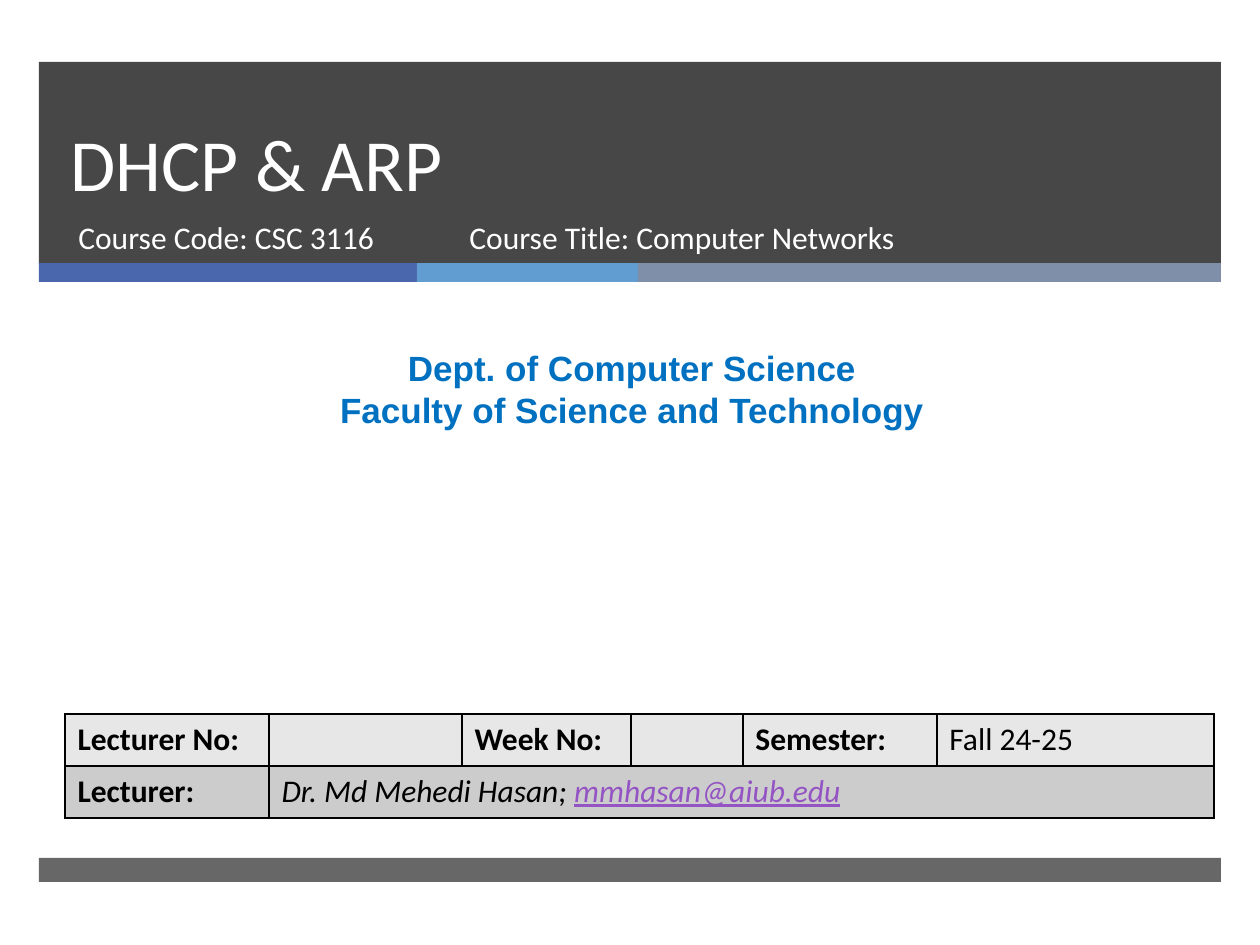
import pptx
import pptx.util
import pptx.dml.color
import pptx.enum.shapes
import pptx.enum.text
from lxml import etree
from pptx.oxml.ns import qn

RGB = pptx.dml.color.RGBColor
WHITE = RGB(0xFF, 0xFF, 0xFF)
BLACK = RGB(0x00, 0x00, 0x00)
BANNER = RGB(0x47, 0x47, 0x47)
FOOTER = RGB(0x67, 0x67, 0x67)
INDIGO = RGB(0x4A, 0x66, 0xAC)
SKY = RGB(0x62, 0x9D, 0xD1)
SLATE = RGB(0x7F, 0x8F, 0xA9)
BLUE = RGB(0x00, 0x70, 0xC0)
PURPLE = RGB(0x94, 0x54, 0xC3)
LIGHT = RGB(0xE7, 0xE7, 0xE7)
GREY = RGB(0xCC, 0xCC, 0xCC)

PX = 914400 / 126  # EMU per pixel


def px(*values):
    return [round(v * PX) for v in values]


def add_run(p, text, size, color, **fmt):
    r = p.add_run()
    r.text = text
    r.font.size = pptx.util.Pt(size)
    r.font.color.rgb = color
    for name, value in {"name": "Calibri", **fmt}.items():
        setattr(r.font, name, value)


prs = pptx.Presentation()
prs.slide_width, prs.slide_height = px(1260, 945)
s = prs.slides.add_slide(prs.slide_layouts[6])

# Banner, three-colour stripe and footer bar
bars = [
    (39, 62, 1182, 202, BANNER),
    (39, 263, 378, 19, INDIGO),
    (417, 263, 221, 19, SKY),
    (638, 263, 583, 19, SLATE),
    (39, 858, 1182, 24, FOOTER),
]
for *box, color in bars:
    sp = s.shapes.add_shape(pptx.enum.shapes.MSO_SHAPE.RECTANGLE, *px(*box))
    sp.shadow.inherit = False
    sp.fill.solid()
    sp.fill.fore_color.rgb = color
    sp.line.fill.background()

# Title, course details and department
TOP, BOTTOM = pptx.enum.text.MSO_ANCHOR.TOP, pptx.enum.text.MSO_ANCHOR.BOTTOM
LEFT, CENTER = pptx.enum.text.PP_ALIGN.LEFT, pptx.enum.text.PP_ALIGN.CENTER
white18 = {"size": 18, "color": WHITE}
texts = [
    ((58, 62, 1076, 150), ["DHCP & ARP"], BOTTOM,
     {"alignment": LEFT, "line_spacing": pptx.util.Pt(46)}, {"size": 42, "color": WHITE}),
    ((66, 212, 384, 67), ["Course Code: CSC 3116"], TOP, {"alignment": LEFT}, white18),
    ((457, 212, 573, 67), ["Course Title: Computer Networks"], TOP, {"alignment": LEFT}, white18),
    ((10, 340, 1244, 97), ["Dept. of Computer Science", "Faculty of Science and Technology"], TOP,
     {"alignment": CENTER}, {"size": 20, "color": BLUE, "name": "Arial", "bold": True}),
]
for box, lines, anchor, para, font in texts:
    tf = s.shapes.add_textbox(*px(*box)).text_frame
    tf.word_wrap = True
    tf.vertical_anchor = anchor
    for i, line in enumerate(lines):
        p = tf.add_paragraph() if i else tf.paragraphs[0]
        for name, value in para.items():
            setattr(p, name, value)
        add_run(p, line, **font)

# Lecture table
widths = [204, 193, 169, 112, 194, 277]
row_height = 52
table = s.shapes.add_table(2, len(widths), *px(65, 714, sum(widths), 2 * row_height)).table
for col, width in zip(table.columns, px(*widths)):
    col.width = width
for row in table.rows:
    row.height = px(row_height)[0]
table.cell(1, 1).merge(table.cell(1, 5))

bold, italic = {"bold": True}, {"bold": False, "italic": True}
entries = {
    (0, 0): [("Lecturer No:", BLACK, bold)],
    (0, 2): [("Week No:", BLACK, bold)],
    (0, 4): [("Semester:", BLACK, bold)],
    (0, 5): [("Fall 24-25", BLACK, {"bold": False})],
    (1, 0): [("Lecturer:", BLACK, bold)],
    (1, 1): [("Dr. Md Mehedi Hasan; ", BLACK, italic),
             ("mmhasan@aiub.edu", PURPLE, {**italic, "underline": True})],
}
for row, fill in enumerate([LIGHT, GREY]):
    for col in range(len(widths)):
        cell = table.cell(row, col)
        p = cell.text_frame.paragraphs[0]
        p.font.size = pptx.util.Pt(18)
        for text, color, fmt in entries.get((row, col), []):
            add_run(p, text, 18, color, **fmt)
        # Borders come before the fill in the cell properties
        tcPr = cell._tc.get_or_add_tcPr()
        for side in ("a:lnL", "a:lnR", "a:lnT", "a:lnB"):
            ln = etree.SubElement(tcPr, qn(side), w=str(pptx.util.Pt(1)))
            solid = etree.SubElement(ln, qn("a:solidFill"))
            etree.SubElement(solid, qn("a:srgbClr"), val=str(BLACK))
        cell.fill.solid()
        cell.fill.fore_color.rgb = fill

prs.save("out.pptx")
